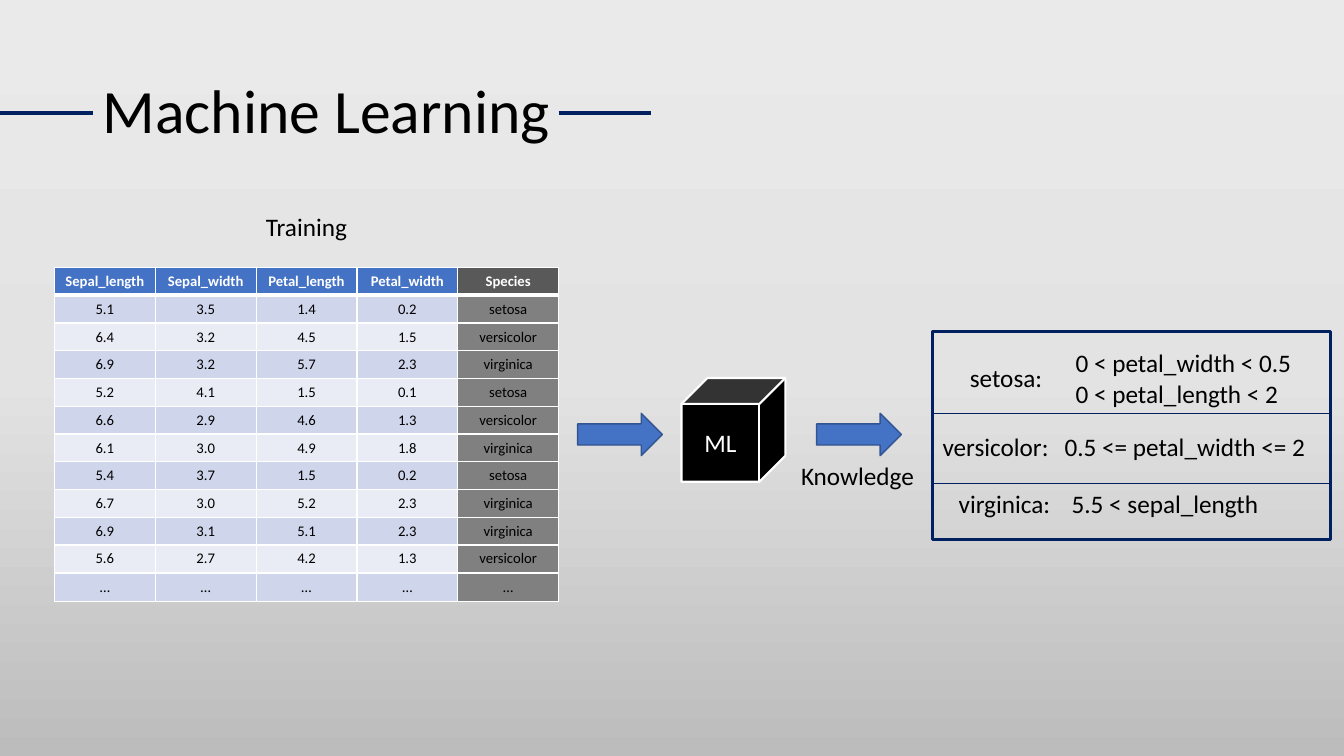
from copy import deepcopy

from lxml import etree
from pptx import Presentation
from pptx.dml.color import RGBColor
from pptx.enum import shapes, text
from pptx.oxml.ns import qn
from pptx.util import Inches, Pt

NAVY, BLUE, WHITE, BLACK = "002060", "4472C4", "FFFFFF", "000000"
BANDS = ["CFD5EA", "E9EBF5"]
GRAY = "808080"
LEFT, MID = text.PP_ALIGN.LEFT, text.PP_ALIGN.CENTER

HEADS = ["Sepal_length", "Sepal_width", "Petal_length", "Petal_width", "Species"]
FLOWERS = [
    ["5.1", "3.5", "1.4", "0.2", "setosa"],
    ["6.4", "3.2", "4.5", "1.5", "versicolor"],
    ["6.9", "3.2", "5.7", "2.3", "virginica"],
    ["5.2", "4.1", "1.5", "0.1", "setosa"],
    ["6.6", "2.9", "4.6", "1.3", "versicolor"],
    ["6.1", "3.0", "4.9", "1.8", "virginica"],
    ["5.4", "3.7", "1.5", "0.2", "setosa"],
    ["6.7", "3.0", "5.2", "2.3", "virginica"],
    ["6.9", "3.1", "5.1", "2.3", "virginica"],
    ["5.6", "2.7", "4.2", "1.3", "versicolor"],
]


def rgb(code):
    return RGBColor.from_string(code)


def edge(side, width):
    """Make one white cell border; side is L, R, T or B."""
    line = etree.Element(qn(f"a:ln{side}"), w=str(Pt(width)))
    fill = etree.SubElement(line, qn("a:solidFill"))
    etree.SubElement(fill, qn("a:srgbClr"), val=WHITE)
    return line


class Board:
    def __init__(self, slide, font):
        self.slide, self.font = slide, font

    def back(self, colors):
        """Fill the background with an even gradient from top to bottom."""
        fill = self.slide.background.fill
        fill.gradient()
        fill.gradient_angle = 270
        first = self.slide.element.find(".//" + qn("a:gs"))
        for _ in colors[2:]:
            first.addnext(deepcopy(first))
        for i, (stop, color) in enumerate(zip(fill.gradient_stops, colors)):
            stop.position = i / (len(colors) - 1)
            stop.color.rgb = rgb(color)

    def letter(self, frame, words, size, color, align, bold=False):
        """Put styled words into a text frame."""
        frame.text = words
        for para in frame.paragraphs:
            para.alignment = align
            for run in para.runs:
                run.font.name, run.font.size = self.font, Pt(size)
                run.font.bold, run.font.color.rgb = bold, rgb(color)

    def label(self, words, box, align=LEFT, size=18, wrap=True):
        frame = self.slide.shapes.add_textbox(*map(Inches, box)).text_frame
        frame.word_wrap = wrap
        self.letter(frame, words, size, BLACK, align)
        return frame

    def shape(self, kind, box, fill, line, width, words=""):
        item = self.slide.shapes.add_shape(kind, *map(Inches, box))
        item.shadow.inherit = False
        if fill:
            item.fill.solid()
            item.fill.fore_color.rgb = rgb(fill)
        else:
            item.fill.background()
        item.line.color.rgb, item.line.width = rgb(line), Pt(width)
        if words:
            item.text_frame.vertical_anchor = text.MSO_ANCHOR.MIDDLE
            self.letter(item.text_frame, words, 18, WHITE, MID)

    def rule(self, left, right, top, width):
        """Draw a level navy line."""
        ends = map(Inches, (left, top, right, top))
        line = self.slide.shapes.add_connector(shapes.MSO_CONNECTOR.STRAIGHT, *ends)
        line.line.color.rgb, line.line.width = rgb(NAVY), Pt(width)
        etree.SubElement(line.element.spPr, qn("a:effectLst"))

    def table(self, rows, top, bands, last, color=BLACK, bold=False, base=1):
        """Add rows in banded fills, the last column in its own fill."""
        size = (0.54, top, 5, 0.25 * len(rows))
        grid = self.slide.shapes.add_table(len(rows), len(rows[0]), *map(Inches, size)).table
        grid.first_row = bold
        grid.horz_banding = False
        for r, row in enumerate(rows):
            for c, words in enumerate(row):
                cell = grid.cell(r, c)
                self.letter(cell.text_frame, words, 10.5, color, MID, bold)
                cell.fill.solid()
                fill = last if c == len(row) - 1 else bands[r % len(bands)]
                cell.fill.fore_color.rgb = rgb(fill)
                props = cell._tc.get_or_add_tcPr()
                for i, side in enumerate("LRTB"):
                    props.insert(i, edge(side, base if side == "B" else 1))


def main():
    deck = Presentation()
    deck.slide_width, deck.slide_height = Inches(13.33), Inches(7.5)
    board = Board(deck.slides.add_slide(deck.slide_layouts[6]), "Calibri")
    board.back(["EBEAEA", "E4E3E3", "BDBCBC"])

    title = board.label("Machine Learning", (0.92, 0.4, 4.82, 1.45), size=44)
    title.vertical_anchor = text.MSO_ANCHOR.MIDDLE
    title.paragraphs[0].line_spacing = 0.9
    for left in (0, 5.54):
        board.rule(left, left + 0.92, 1.12, 3)

    kind = shapes.MSO_SHAPE
    board.shape(kind.CUBE, (6.76, 3.75, 1.03, 1.03), BLACK, WHITE, 1.5, "ML")

    board.label("Training", (2.22, 2.05, 1.64, 0.4), MID)
    board.table([["…"] * 5], 5.69, BANDS, GRAY)
    board.table(FLOWERS, 2.93, BANDS, GRAY)
    board.table([HEADS], 2.65, [BLUE], "595959", WHITE, True, 3)

    for left in (5.73, 8.1):
        board.shape(kind.RIGHT_ARROW, (left, 4.1, 0.84, 0.42), BLUE, "325491", 1)
    board.label("Knowledge", (7.79, 4.52, 1.43, 0.4), MID)

    board.label("setosa:", (9.52, 3.55, 0.99, 0.4), wrap=False)
    board.label("0 < petal_width < 0.5\n0 < petal_length < 2", (10.57, 3.4, 2.51, 0.71))
    board.label("versicolor:", (9.25, 4.23, 1.32, 0.4), wrap=False)
    board.label("0.5 <= petal_width <= 2", (10.46, 4.23, 2.62, 0.4), wrap=False)
    board.label("virginica:", (9.41, 4.8, 1.18, 0.4), wrap=False)
    board.label("5.5 < sepal_length", (10.53, 4.8, 2.43, 0.4))
    board.shape(kind.RECTANGLE, (9.25, 3.29, 3.95, 2.06), None, NAVY, 2.25)
    for top in (4.1, 4.8):
        board.rule(9.25, 13.19, top, 0.5)

    deck.save("out.pptx")


if __name__ == "__main__":
    main()
